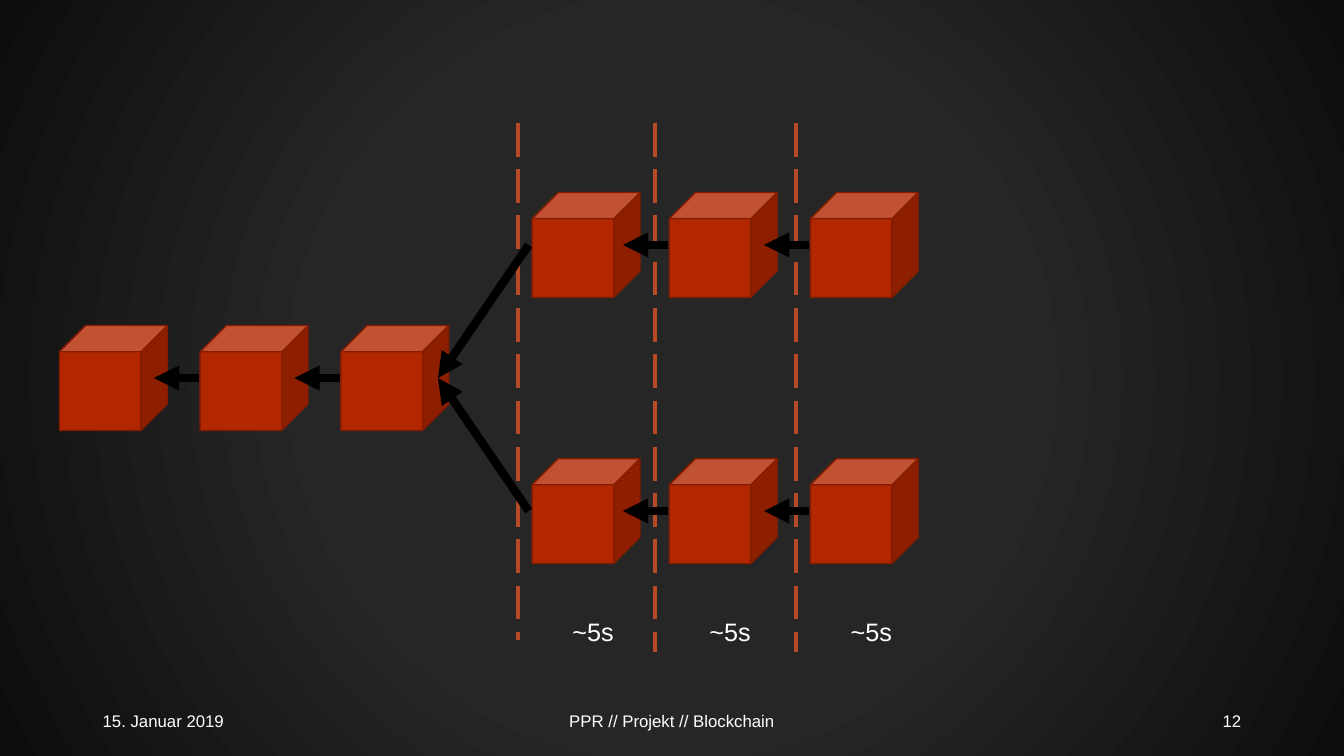
from dataclasses import dataclass
from typing import NamedTuple

from pptx import Presentation
from pptx.dml.color import RGBColor
from pptx.enum.dml import MSO_LINE_DASH_STYLE as Dash
from pptx.enum.shapes import MSO_CONNECTOR as Link, MSO_SHAPE as Preset
from pptx.enum.text import MSO_ANCHOR as Anchor, MSO_AUTO_SIZE as Fit, PP_ALIGN as Align
from pptx.oxml import parse_xml
from pptx.oxml.ns import nsdecls, qn
from pptx.util import Inches, Pt


@dataclass(frozen=True)
class Theme:
    font: str = "Arial"
    text: str = "FFFFFF"
    center: str = "262626"
    edge: str = "0D0D0D"
    block: str = "B22600"
    outline: str = "841C00"
    divider: str = "B64926"
    arrow: str = "000000"
    footer_size: int = 12
    label_size: int = 18
    outline_width: int = 1
    divider_width: int = 3
    arrow_width: int = 6


class Box(NamedTuple):
    left: float
    top: float
    width: float
    height: float


THEME = Theme()
COLUMNS, ROWS = 160, 90
CELL = Inches(7.5) / ROWS
BLOCK_WIDTH, BLOCK_HEIGHT = 12.84, 12.48


def cells(*counts):
    return [round(count * CELL) for count in counts]


def color(value):
    return RGBColor.from_string(value)


def add_line(page, start, end, shade, width):
    line = page.shapes.add_connector(Link.STRAIGHT, *cells(*start, *end))
    line.line.color.rgb = color(shade)
    line.line.width = Pt(width)
    line._element.spPr.append(parse_xml(f"<a:effectLst {nsdecls('a')}/>"))
    return line


def add_arrow(page, start, end):
    arrow = add_line(page, start, end, THEME.arrow, THEME.arrow_width)
    outline = arrow._element.spPr.find(qn("a:ln"))
    outline.append(parse_xml(f'<a:tailEnd {nsdecls("a")} type="triangle"/>'))


def add_text(page, box, text, size, align=Align.LEFT, anchor=Anchor.TOP, wrap=True):
    frame = page.shapes.add_textbox(*cells(*box)).text_frame
    frame.text = text
    frame.word_wrap = wrap
    frame.auto_size = Fit.NONE if wrap else Fit.SHAPE_TO_FIT_TEXT
    frame.vertical_anchor = anchor
    para = frame.paragraphs[0]
    para.alignment = align
    font = para.runs[0].font
    font.name, font.size = THEME.font, Pt(size)
    font.color.rgb = color(THEME.text)


def paint_background(page):
    stops = ((0, THEME.center), (46, THEME.center), (100, THEME.edge))
    stop_xml = "".join(
        f'<a:gs pos="{share * 1000}"><a:srgbClr val="{shade}"/></a:gs>'
        for share, shade in stops
    )
    page._element.cSld.insert(0, parse_xml(
        f'<p:bg {nsdecls("p", "a")}><p:bgPr><a:gradFill rotWithShape="1">'
        f'<a:gsLst>{stop_xml}</a:gsLst><a:path path="circle">'
        '<a:fillToRect l="50000" t="50000" r="50000" b="50000"/></a:path>'
        '</a:gradFill><a:effectLst/></p:bgPr></p:bg>'
    ))


def draw_chain(page, box, offsets):
    middle = box.top + box.height / 2
    lefts = [box.left + offset for offset in offsets]
    for left in lefts:
        block = page.shapes.add_shape(
            Preset.CUBE, *cells(left, box.top, BLOCK_WIDTH, box.height))
        block.shadow.inherit = False
        block.fill.solid()
        block.fill.fore_color.rgb = color(THEME.block)
        block.line.color.rgb = color(THEME.outline)
        block.line.width = Pt(THEME.outline_width)
    for left in lefts[1:]:
        add_arrow(page, (left - 0.12, middle), (left - 5.52, middle))


def draw_dividers(page, box, offsets):
    for offset in offsets:
        left = box.left + offset
        bottom = box.top + box.height - (0 if offset else 1.44)
        add_line(page, (left, box.top), (left, bottom),
                 THEME.divider, THEME.divider_width).line.dash_style = Dash.LONG_DASH


def draw_fork(page, box, offsets, parent):
    for top in (box.top + 8.28, box.top + 39.96):
        chain = Box(box.left + 1.68, top, box.width - 1.68, BLOCK_HEIGHT)
        draw_chain(page, chain, offsets)
        add_arrow(page, (chain.left - 0.42, top + BLOCK_HEIGHT / 2), parent)
    for offset in offsets:
        label = Box(box.left + offset + 5.28, box.top + 58.2, 7.44, 4.8)
        add_text(page, label, "~5s", THEME.label_size, wrap=False)


def draw_footer(page, box):
    side, center = 36, 54
    parts = (
        ("15. Januar 2019", box.left, side, Align.LEFT),
        ("PPR // Projekt // Blockchain",
         box.left + (box.width - center) / 2, center, Align.CENTER),
        ("12", box.left + box.width - side, side, Align.RIGHT),
    )
    for text, left, width, align in parts:
        add_text(page, Box(left, box.top, width, box.height), text,
                 THEME.footer_size, align, Anchor.MIDDLE)


def build_fork_slide(deck):
    page = deck.slides.add_slide(deck.slide_layouts[6])
    main = Box(7.08, 38.76, 46.34, BLOCK_HEIGHT)
    fork = Box(61.68, 14.64, 47.64, 63)
    periods = (0, 16.32, 33.12)
    paint_background(page)
    draw_dividers(page, fork, periods)
    draw_chain(page, main, [16.75 * step for step in range(3)])
    draw_fork(page, fork, periods, (main.left + 45.06, main.top + BLOCK_HEIGHT / 2))
    draw_footer(page, Box(11.04, 83.4, COLUMNS - 2 * 11.04, 4.8))


deck = Presentation()
deck.slide_width, deck.slide_height = cells(COLUMNS, ROWS)
build_fork_slide(deck)
deck.save("out.pptx")
